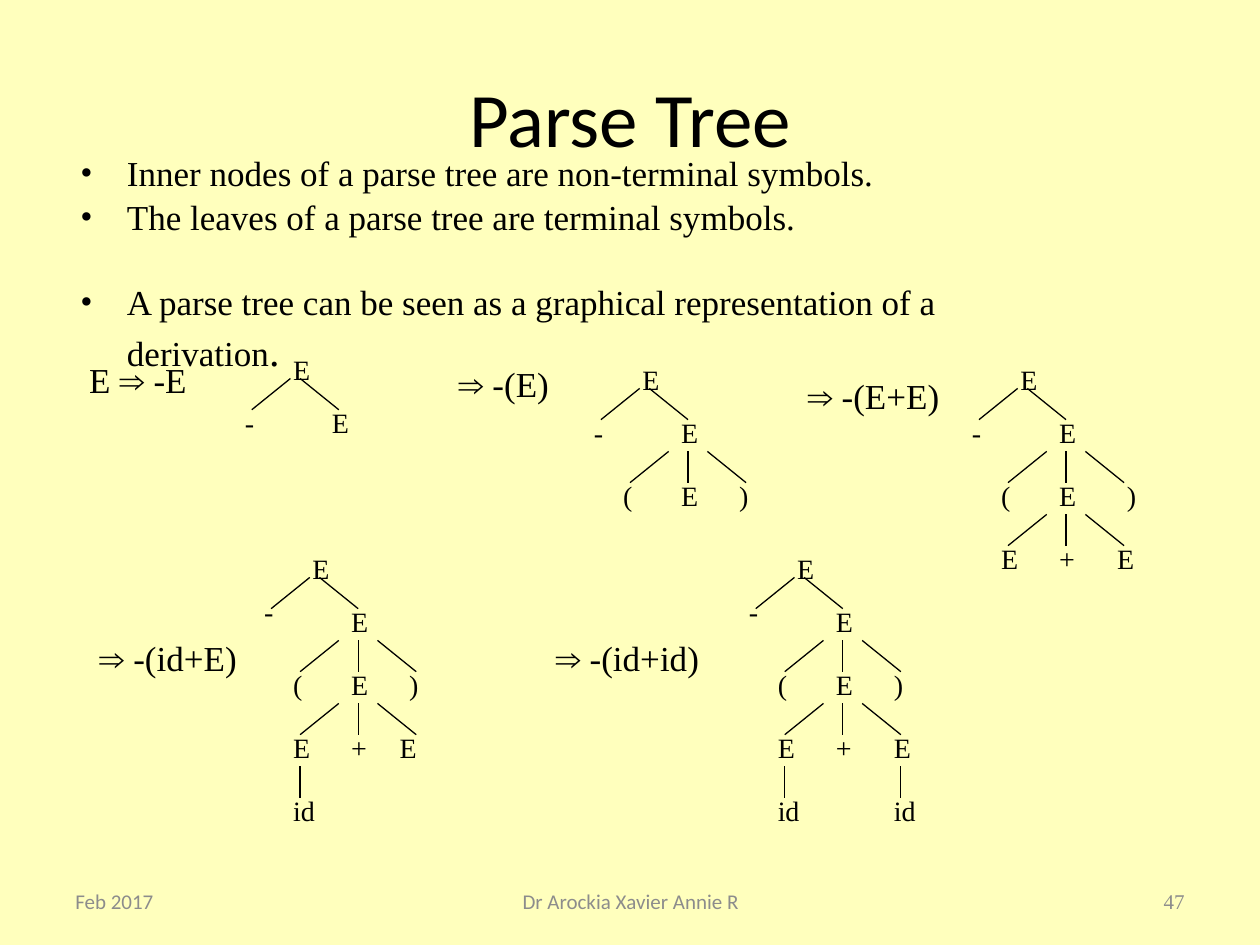
from lxml import etree
from pptx import Presentation
from pptx.dml.color import RGBColor
from pptx.enum import shapes, text
from pptx.oxml.ns import qn
from pptx.util import Cm, Pt

BACKGROUND = RGBColor(0xFF, 0xFF, 0xBD)
BLACK = RGBColor(0, 0, 0)
GRAY = RGBColor(0x8C, 0x8C, 0x8C)
SERIF = "Times New Roman"
SANS = "Calibri"

COLUMN = 0.195
LEVEL = 1.27
FIRST_LEVEL = 1.06
BRANCH_TOP = 0.64
BRANCH_HEIGHT = 0.63
SYMBOL_WIDTHS = {"E": 0.86, "+": 0.84, "id": 0.97}

NEGATION = [(1, -3, 0), (2, 6, 0)]
THREE_WAY = [(4, 0), (8, 12), (6, 6)]

BULLETS = [
    ("Inner nodes of a parse tree are non-terminal symbols.", 0),
    ("The leaves of a parse tree are terminal symbols.", 0),
    ("A parse tree can be seen as a graphical representation of a derivation", 24),
]
STEPS = [
    ("E ⇒ -E", 1.55, 7.11, 2.87),
    ("⇒ -(E)", 8.99, 7.19, 2.54),
    ("⇒ -(E+E)", 16.03, 7.42, 3.38),
    ("⇒ -(id+E)", 1.75, 12.7, 3.51),
    ("⇒ -(id+id)", 10.95, 12.7, 3.61),
]
FOOTERS = [
    ("Feb 2017", 1.27, 5.92, text.PP_ALIGN.LEFT, SANS),
    ("Dr Arockia Xavier Annie R", 8.69, 8.05, text.PP_ALIGN.CENTER, SANS),
    ("47", 18.21, 5.92, text.PP_ALIGN.RIGHT, SERIF),
]


def style(font, size, name=SERIF, color=BLACK):
    font.size = Pt(size)
    font.name = name
    font.color.rgb = color


def add_text(parent, content, left, top, width, height, size=16, name=SERIF,
             color=BLACK, align=text.PP_ALIGN.LEFT,
             anchor=text.MSO_ANCHOR.TOP, wrap=False):
    box = parent.add_textbox(Cm(left), Cm(top), Cm(width), Cm(height))
    frame = box.text_frame
    frame.word_wrap = wrap
    frame.vertical_anchor = anchor
    paragraph = frame.paragraphs[0]
    paragraph.alignment = align
    run = paragraph.add_run()
    run.text = content
    style(run.font, size, name, color)
    return frame


def add_title(slide, content):
    title = slide.shapes.title
    title.left, title.top = Cm(1.27), Cm(0.76)
    title.width, title.height = Cm(22.86), Cm(3.18)
    title.text_frame.text = content
    title.text_frame.vertical_anchor = text.MSO_ANCHOR.MIDDLE
    paragraph = title.text_frame.paragraphs[0]
    paragraph.alignment = text.PP_ALIGN.CENTER
    style(paragraph.runs[0].font, 44, SANS)


def add_bullets(slide):
    first, *others = BULLETS
    frame = add_text(slide.shapes, first[0], 1.37, 2.9, 20.78, 3.84,
                     size=20, wrap=True)
    frame.margin_right = Cm(1)
    for content, space in others:
        paragraph = frame.add_paragraph()
        paragraph.space_before = Pt(space)
        run = paragraph.add_run()
        run.text = content
        style(run.font, 20)
    period = frame.paragraphs[-1].add_run()
    period.text = "."
    style(period.font, 24)
    for paragraph in frame.paragraphs:
        paragraph.line_spacing = 1.04
        properties = paragraph._p.get_or_add_pPr()
        properties.set("marL", str(Cm(0.94)))
        properties.set("indent", str(-Cm(0.94)))
        etree.SubElement(properties, qn("a:buFont")).set("typeface", SERIF)
        etree.SubElement(properties, qn("a:buChar")).set("char", "•")


def add_branch(tree, start_x, end_x, top):
    branch = tree.add_connector(shapes.MSO_CONNECTOR.STRAIGHT, Cm(start_x),
                                Cm(top), Cm(end_x), Cm(top + BRANCH_HEIGHT))
    branch.line.color.rgb = BLACK
    branch.line.width = Pt(0.75)
    etree.SubElement(branch._element.spPr, qn("a:effectLst"))


def add_tree(slide, left, top, depth, close=10, right=10, minus_row=1, ids=()):
    branches = list(NEGATION)
    for row in range(1, depth):
        branches += [(start, end, row) for start, end in THREE_WAY]
    branches += [(column + 2, column + 2, 3) for column in ids]

    symbols = [("E", 0, 0), ("-", -5, minus_row), ("E", 4, 1)]
    if depth > 1:
        symbols += [("(", -2, 2), ("E", 4, 2), (")", close, 2)]
    if depth > 2:
        symbols += [("E", -2, 3), ("+", 4, 3), ("E", right, 3)]
    symbols += [("id", column, 4) for column in ids]

    tree = slide.shapes.add_group_shape().shapes
    for start, end, row in branches:
        add_branch(tree, left + start * COLUMN, left + end * COLUMN,
                   top + BRANCH_TOP + row * LEVEL)
    for symbol, column, row in symbols:
        drop = FIRST_LEVEL + (row - 1) * LEVEL if row else 0
        add_text(tree, symbol, left + column * COLUMN, top + drop,
                 SYMBOL_WIDTHS.get(symbol, 0.71), 0.94)


def main():
    deck = Presentation()
    deck.slide_width, deck.slide_height = Cm(25.4), Cm(19.05)
    slide = deck.slides.add_slide(deck.slide_layouts[5])
    slide.background.fill.solid()
    slide.background.fill.fore_color.rgb = BACKGROUND

    add_title(slide, "Parse Tree")
    add_bullets(slide)
    for content, left, top, width in STEPS:
        add_text(slide.shapes, content, left, top, width, 1.12, size=20)

    add_tree(slide, 5.66, 6.99, depth=1)
    add_tree(slide, 12.7, 7.19, depth=2)
    add_tree(slide, 20.32, 7.19, depth=3, close=11)
    add_tree(slide, 6.05, 11, depth=3, right=9, minus_row=0.84, ids=[-2])
    add_tree(slide, 15.82, 11, depth=3, minus_row=0.84, ids=[-2, 10])

    for content, left, width, align, name in FOOTERS:
        add_text(slide.shapes, content, left, 17.65, width, 1.02, size=12,
                 name=name, color=GRAY, align=align,
                 anchor=text.MSO_ANCHOR.MIDDLE, wrap=True)
    deck.save("out.pptx")


if __name__ == "__main__":
    main()
